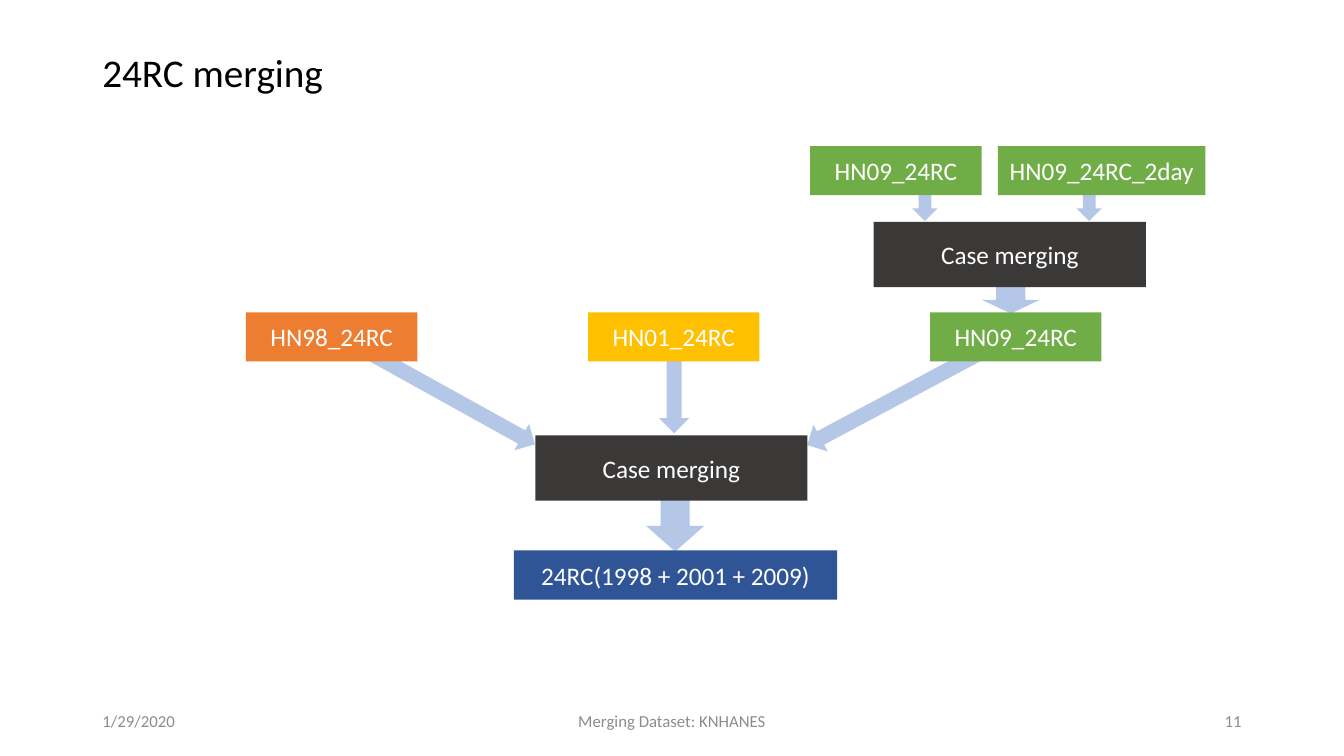
"""Build the 24RC merging flow slide."""
from typing import NamedTuple

from pptx import Presentation
from pptx.dml.color import RGBColor
from pptx.enum import shapes, text
from pptx.util import Cm, Pt

FONT = "Calibri"
ARROW, MERGE, GREEN, GREY = "B4C7E7", "3B3838", "70AD47", "8C8C8C"
BOX_WIDTH, BOX_HEIGHT = 4.32, 1.24
MERGE_WIDTH, MERGE_HEIGHT = 6.86, 1.65
YEAR_LEFT, YEAR_STEP, YEAR_TOP = 6.2, 8.62, 7.87
SOURCE_TOP = 3.68
ALIGN = text.PP_ALIGN


class Label(NamedTuple):
    words: str
    left: float
    top: float
    width: float
    height: float
    size: int
    color: str
    align: text.PP_ALIGN


class Arrow(NamedTuple):
    left: float
    top: float
    width: float
    height: float
    turn: float = 0


class Box(NamedTuple):
    words: str
    fill: str
    left: float
    top: float
    width: float = BOX_WIDTH
    height: float = BOX_HEIGHT


LABELS = [
    Label("24RC merging", 2.33, 1.02, 29.21, 1.75, 28, "000000", ALIGN.LEFT),
    Label("1/29/2020", 2.33, 17.65, 7.62, 1.02, 12, GREY, ALIGN.LEFT),
    Label("Merging Dataset: KNHANES", 11.22, 17.65, 11.43, 1.02, 12, GREY, ALIGN.CENTER),
    Label("11", 23.92, 17.65, 7.62, 1.02, 12, GREY, ALIGN.RIGHT),
]
ARROWS = [
    Arrow(16.28, 12.6, 1.47, 1.3),
    Arrow(10.77, 7.24, 0.76, 5.33, 299),
    Arrow(22.17, 7.54, 0.76, 5, 61.9),
    Arrow(16.61, 8.41, 0.76, 2.61),
    Arrow(23.15, 4.88, 0.64, 0.69),
    Arrow(27.33, 4.88, 0.64, 0.69),
    Arrow(24.94, 7.21, 1.47, 0.69),
]
ARROWS[3:] = [
    Arrow(16.61, 8.41, 0.76, 2.51),
    Arrow(22.99, 4.88, 0.64, 0.69),
    Arrow(27.13, 4.88, 0.64, 0.69),
    Arrow(24.74, 7.21, 1.47, 0.69),
]
YEARS = [("HN98_24RC", "ED7D31"), ("HN01_24RC", "FFC000"), ("HN09_24RC", GREEN)]
BOXES = [
    Box(words, fill, YEAR_LEFT + YEAR_STEP * index, YEAR_TOP)
    for index, (words, fill) in enumerate(YEARS)
] + [
    Box("Case merging", MERGE, 13.49, 10.97, MERGE_WIDTH, MERGE_HEIGHT),
    Box("Case merging", MERGE, 22.02, 5.59, MERGE_WIDTH, MERGE_HEIGHT),
    Box("24RC(1998 + 2001 + 2009)", "2F5597", 12.95, 13.87, 8.15),
    Box("HN09_24RC_2day", GREEN, 25.15, SOURCE_TOP, 5.23),
    Box("HN09_24RC", GREEN, 20.42, SOURCE_TOP),
]


def rgb(value: str) -> RGBColor:
    """Turn a hex string into a colour."""
    return RGBColor.from_string(value)


def write(shape, words: str, size: int, color: str, align: text.PP_ALIGN):
    """Write one vertically centred line of text and return its paragraph."""
    frame = shape.text_frame
    frame.word_wrap = True
    frame.vertical_anchor = text.MSO_ANCHOR.MIDDLE
    para = frame.paragraphs[0]
    para.alignment = align
    span = para.add_run()
    span.text = words
    span.font.name = FONT
    span.font.size = Pt(size)
    span.font.color.rgb = rgb(color)
    return para


def add_label(page, label: Label) -> None:
    """Add a text box."""
    box = page.shapes.add_textbox(*map(Cm, label[1:5]))
    para = write(box, label.words, label.size, label.color, label.align)
    if label.size == 28:
        para.line_spacing = 0.9


def add_filled(page, kind: shapes.MSO_SHAPE, place: tuple[float, ...], fill: str):
    """Add a flat filled shape without an outline."""
    shape = page.shapes.add_shape(kind, *map(Cm, place))
    shape.shadow.inherit = False
    shape.fill.solid()
    shape.fill.fore_color.rgb = rgb(fill)
    shape.line.fill.background()
    return shape


def add_arrow(page, arrow: Arrow) -> None:
    """Add a block arrow."""
    shape = add_filled(page, shapes.MSO_SHAPE.DOWN_ARROW, arrow[:4], ARROW)
    shape.rotation = arrow.turn


def add_box(page, box: Box) -> None:
    """Add a dataset or merging step."""
    shape = add_filled(page, shapes.MSO_SHAPE.RECTANGLE, box[2:], box.fill)
    shape.text_frame.margin_left = shape.text_frame.margin_right = Cm(0.1)
    write(shape, box.words, 18, "FFFFFF", ALIGN.CENTER)


def main() -> None:
    """Draw the slide and save it."""
    deck = Presentation()
    deck.slide_width, deck.slide_height = Cm(33.87), Cm(19.05)
    page = deck.slides.add_slide(deck.slide_layouts[6])
    for label in LABELS:
        add_label(page, label)
    for arrow in ARROWS:
        add_arrow(page, arrow)
    for box in BOXES:
        add_box(page, box)
    deck.save("out.pptx")


if __name__ == "__main__":
    main()
